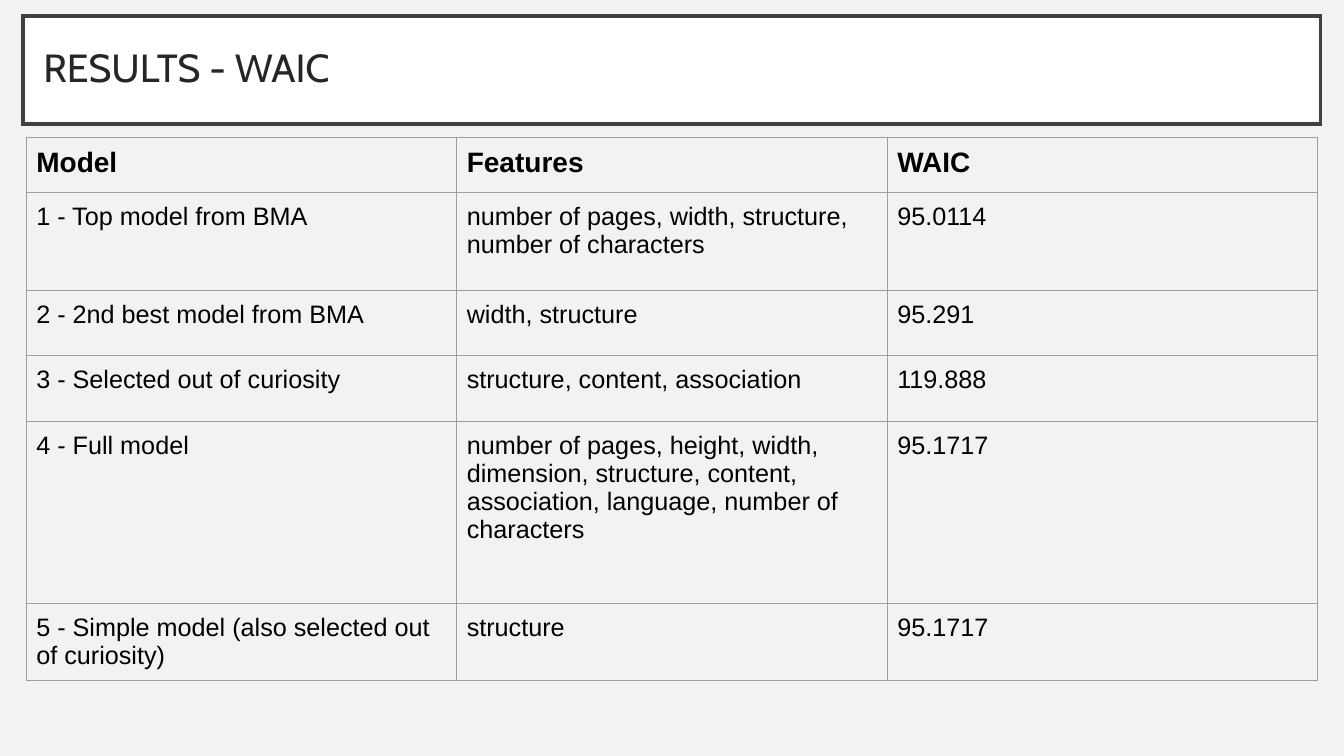
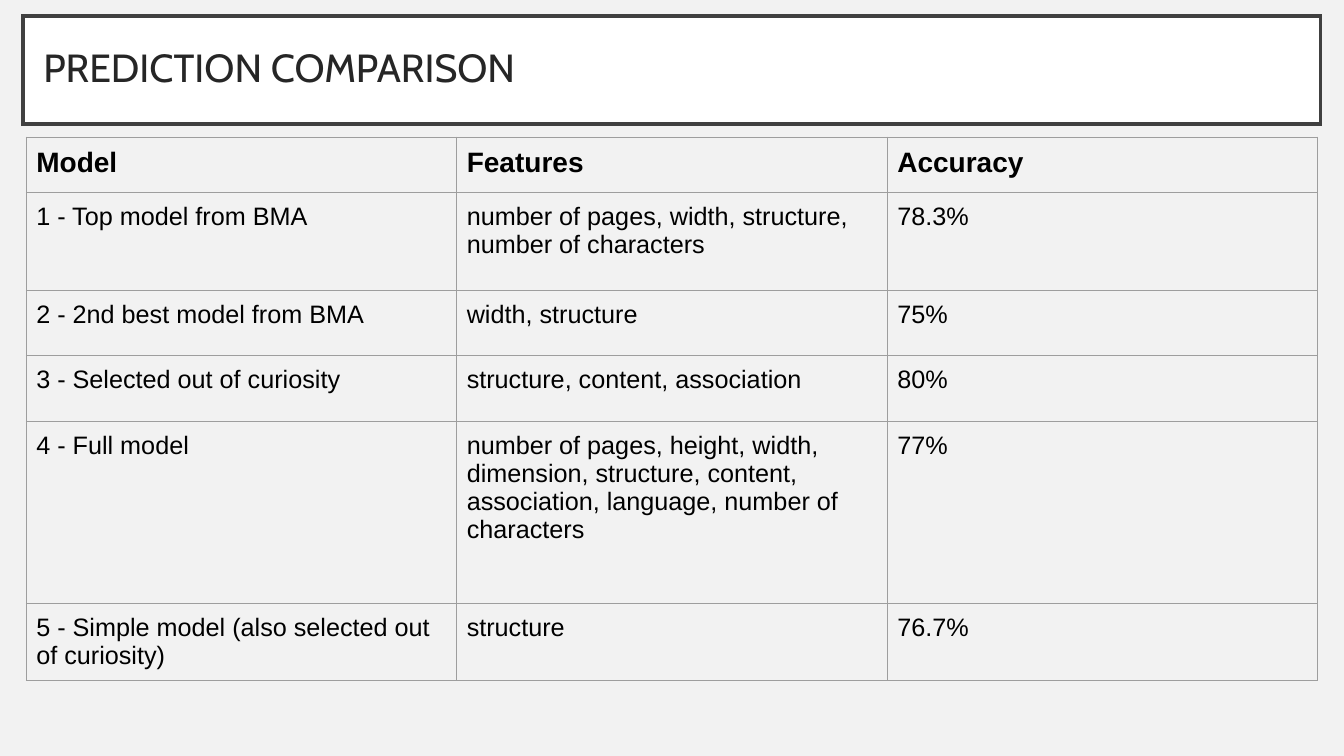
from lxml.etree import SubElement
from pptx import Presentation
from pptx.dml.color import RGBColor
from pptx.enum.shapes import MSO_SHAPE as Shape
from pptx.enum.text import MSO_ANCHOR as Anchor, PP_ALIGN as Align
from pptx.oxml.ns import qn
from pptx.util import Inches, Pt

# Content
MODELS = [
    ("1 - Top model from BMA",
     "number of pages, width, structure, number of characters"),
    ("2 - 2nd best model from BMA", "width, structure"),
    ("3 - Selected out of curiosity", "structure, content, association"),
    ("4 - Full model",
     "number of pages, height, width, dimension, structure, content, "
     "association, language, number of characters"),
    ("5 - Simple model (also selected out of curiosity)", "structure"),
]
SLIDES = [
    ("RESULTS - WAIC", "WAIC",
     ["95.0114", "95.291", "119.888", "95.1717", "95.1717"]),
    ("PREDICTION COMPARISON", "Accuracy",
     ["78.3%", "75%", "80%", "77%", "76.7%"]),
]

# Shared style
COLORS = {"page": "F2F2F2", "band": "FFFFFF", "frame": "404040",
          "title": "262626", "text": "000000", "grid": "9E9E9E"}
WIDE, HIGH = 13.33, 7.5
BAND = (0.23, 0.16, WIDE - 2 * 0.23, 1.07)
LEFT, TOP, COL = 0.26, 1.36, 4.27
ROWS = [0.55, 0.97, 0.65, 0.65, 1.81, 0.76]


def color(name):
    return RGBColor.from_string(COLORS[name])


def paint(fill, name):
    fill.solid()
    fill.fore_color.rgb = color(name)


def style(par, face, size, tint, bold=False):
    par.alignment = Align.LEFT
    for run in par.runs:
        font = run.font
        font.name, font.size, font.bold = face, Pt(size), bold
        font.color.rgb = color(tint)


def pad(box, gap):
    box.margin_left = box.margin_right = Inches(gap)
    box.margin_top = box.margin_bottom = Inches(gap)


def add_title(slide, text):
    band = slide.shapes.add_shape(Shape.RECTANGLE, *map(Inches, BAND))
    band.shadow.inherit = False
    paint(band.fill, "band")
    paint(band.line.fill, "frame")
    band.line.width = Pt(2.5)
    # Square corners on the frame
    line = band.element.spPr.find(qn("a:ln"))
    SubElement(line, qn("a:miter"), lim="800000")
    frame = band.text_frame
    frame.text = text
    frame.word_wrap = True
    frame.vertical_anchor = Anchor.MIDDLE
    pad(frame, 0.2)
    par = frame.paragraphs[0]
    par.line_spacing = 0.9
    style(par, "Cabin", 28, "title")


def add_borders(cell):
    props = cell._tc.get_or_add_tcPr()
    for side in ("lnL", "lnR", "lnT", "lnB"):
        line = SubElement(props, qn("a:" + side), w=str(Pt(0.75)))
        fill = SubElement(line, qn("a:solidFill"))
        SubElement(fill, qn("a:srgbClr"), val=COLORS["grid"])


def add_grid(slide, data):
    cols = len(data[0])
    area = (LEFT, TOP, cols * COL, sum(ROWS))
    table = slide.shapes.add_table(
        len(data), cols, *map(Inches, area)).table
    table.first_row = table.horz_banding = False
    for col in table.columns:
        col.width = Inches(COL)
    for r, (high, texts) in enumerate(zip(ROWS, data)):
        table.rows[r].height = Inches(high)
        for c, text in enumerate(texts):
            cell = table.cell(r, c)
            cell.text = text
            pad(cell, 0.1)
            add_borders(cell)
            paint(cell.fill, "page")
            head = r == 0
            style(cell.text_frame.paragraphs[0], "Arial",
                  20 if head else 18, "text", head)


def main():
    deck = Presentation()
    deck.slide_width, deck.slide_height = Inches(WIDE), Inches(HIGH)
    paint(deck.slide_master.background.fill, "page")
    for title, score, values in SLIDES:
        slide = deck.slides.add_slide(deck.slide_layouts[6])
        add_title(slide, title)
        rows = [(*model, value) for model, value in zip(MODELS, values)]
        add_grid(slide, [("Model", "Features", score), *rows])
    deck.save("out.pptx")


if __name__ == "__main__":
    main()
